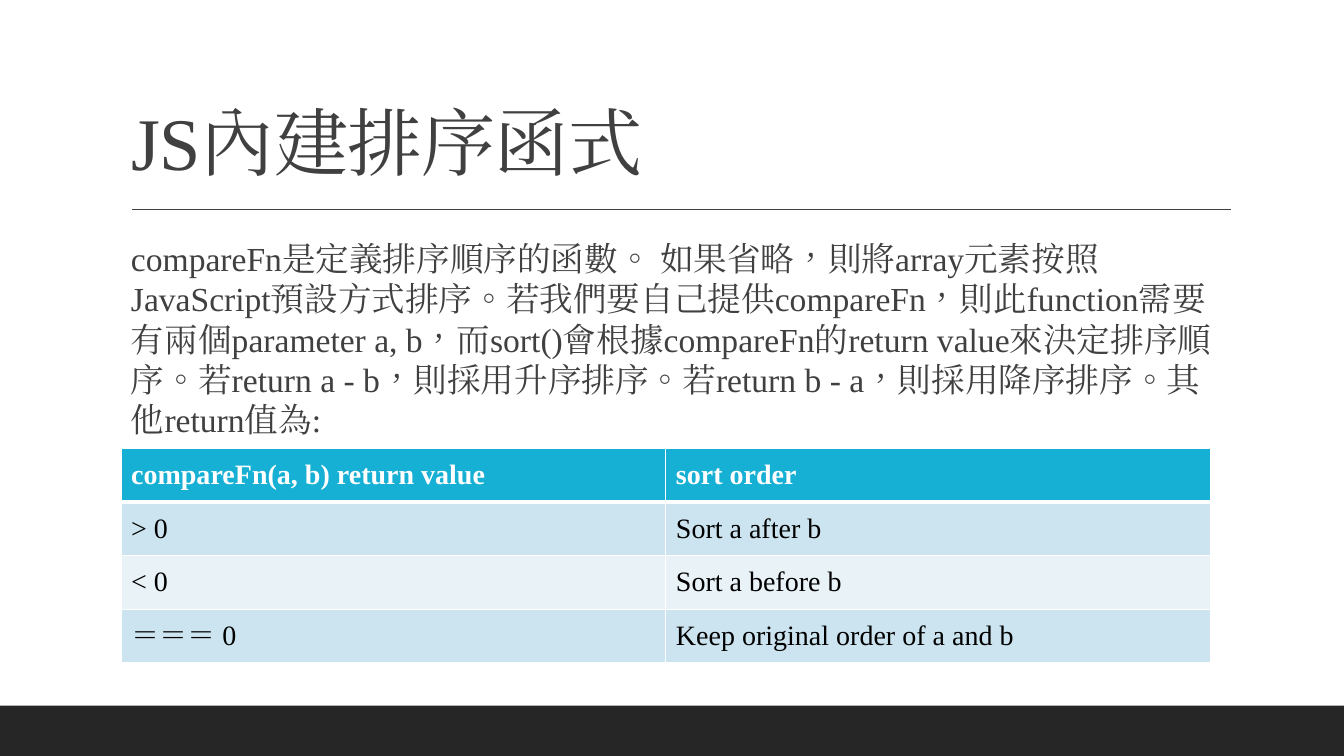
from lxml import etree
from pptx import Presentation
from pptx import util as u
from pptx.dml import color
from pptx.enum import shapes, text
from pptx.oxml import ns


def rgb(code):
    return color.RGBColor.from_string(code)


def style(para, **form):
    """Set the font of the paragraph's only run; tint is its colour."""
    run = para.runs[0]
    run.font.color.rgb = rgb(form.pop("tint"))
    for key, val in {"name": "Times New Roman", **form}.items():
        setattr(run.font, key, val)
    props = run.font._element
    props.set("lang", "zh-TW")
    face = etree.SubElement(props, ns.qn("a:ea"))
    face.set("typeface", "Times New Roman")
    return props


deck = Presentation()
deck.slide_width, deck.slide_height = u.Cm(33.87), u.Cm(19.05)
slide = deck.slides.add_slide(deck.slide_layouts[1])
items = slide.shapes

# Footer bar and title rule
bar = items.add_shape(shapes.MSO_SHAPE.RECTANGLE, 0, u.Cm(17.78), deck.slide_width, u.Cm(1.27))
bar.shadow.inherit = False
bar.fill.solid()
bar.fill.fore_color.rgb = rgb("262626")
bar.line.fill.background()

rule = items.add_connector(shapes.MSO_CONNECTOR.STRAIGHT, u.Cm(3.33), u.Cm(5.28), u.Cm(31.01), u.Cm(5.28))
rule.line.color.rgb = rgb("404040")
rule.line.width = u.Pt(1)
etree.SubElement(rule._element.spPr, ns.qn("a:effectLst"))

# Title and explanation
title, body = slide.placeholders
for box, top, high in ((title, 0.79, 4.04), (body, 5.87, 10.44)):
    place = {"left": u.Cm(3.05), "top": u.Cm(top), "width": u.Cm(27.94), "height": u.Cm(high)}
    for key, val in place.items():
        setattr(box, key, val)
    box.text_frame.auto_size = text.MSO_AUTO_SIZE.NONE

title.text_frame.text = "JS內建排序函式"
title.text_frame.vertical_anchor = text.MSO_ANCHOR.BOTTOM
head = title.text_frame.paragraphs[0]
head.alignment = text.PP_ALIGN.LEFT
head.line_spacing = 0.9
style(head, size=u.Pt(53), tint="404040").set("spc", "-50")

frame = body.text_frame
frame.margin_left = frame.margin_right = 0
frame.vertical_anchor = text.MSO_ANCHOR.TOP
frame.text = (
    "compareFn是定義排序順序的函數。 如果省略，則將array元素按照JavaScript預設方式排序。"
    "若我們要自己提供compareFn，則此function需要有兩個parameter a, b，"
    "而sort()會根據compareFn的return value來決定排序順序。"
    "若return a - b，則採用升序排序。若return b - a，則採用降序排序。其他return值為:"
)
para = frame.paragraphs[0]
para.space_before, para.space_after = u.Pt(12), u.Pt(2)
props = para._p.get_or_add_pPr()
props.set("marL", str(u.Cm(0.25)))
props.set("indent", "0")
etree.SubElement(props, ns.qn("a:buNone"))
style(para, size=u.Pt(24), tint="404040")

# Return values and the order they give
rows = [
    ("compareFn(a, b) return value", "sort order"),
    ("> 0", "Sort a after b"),
    ("< 0", "Sort a before b"),
    ("＝＝＝ 0", "Keep original order of a and b"),
]
fills = ["17B0D5", "CCE4EF", "E8F2F7", "CCE4EF"]
grid = items.add_table(4, 2, u.Cm(3.05), u.Cm(11.3), u.Cm(27.46), u.Cm(5.4)).table
for r, (row, fill) in enumerate(zip(rows, fills)):
    for c, words in enumerate(row):
        cell = grid.cell(r, c)
        cell.text = words
        cell.vertical_anchor = text.MSO_ANCHOR.MIDDLE
        cell.fill.solid()
        cell.fill.fore_color.rgb = rgb(fill)
        style(cell.text_frame.paragraphs[0], size=u.Pt(20), bold=r == 0,
              tint="000000" if r else "FFFFFF")
        for n, side in enumerate("LRTB"):
            thick = (r, side) in ((0, "B"), (1, "T"))
            edge = etree.Element(ns.qn("a:ln" + side), w=str(u.Pt(3 if thick else 1)))
            paint = etree.SubElement(edge, ns.qn("a:solidFill"))
            etree.SubElement(paint, ns.qn("a:srgbClr"), val="FFFFFF")
            cell._tc.get_or_add_tcPr().insert(n, edge)

deck.save("out.pptx")
